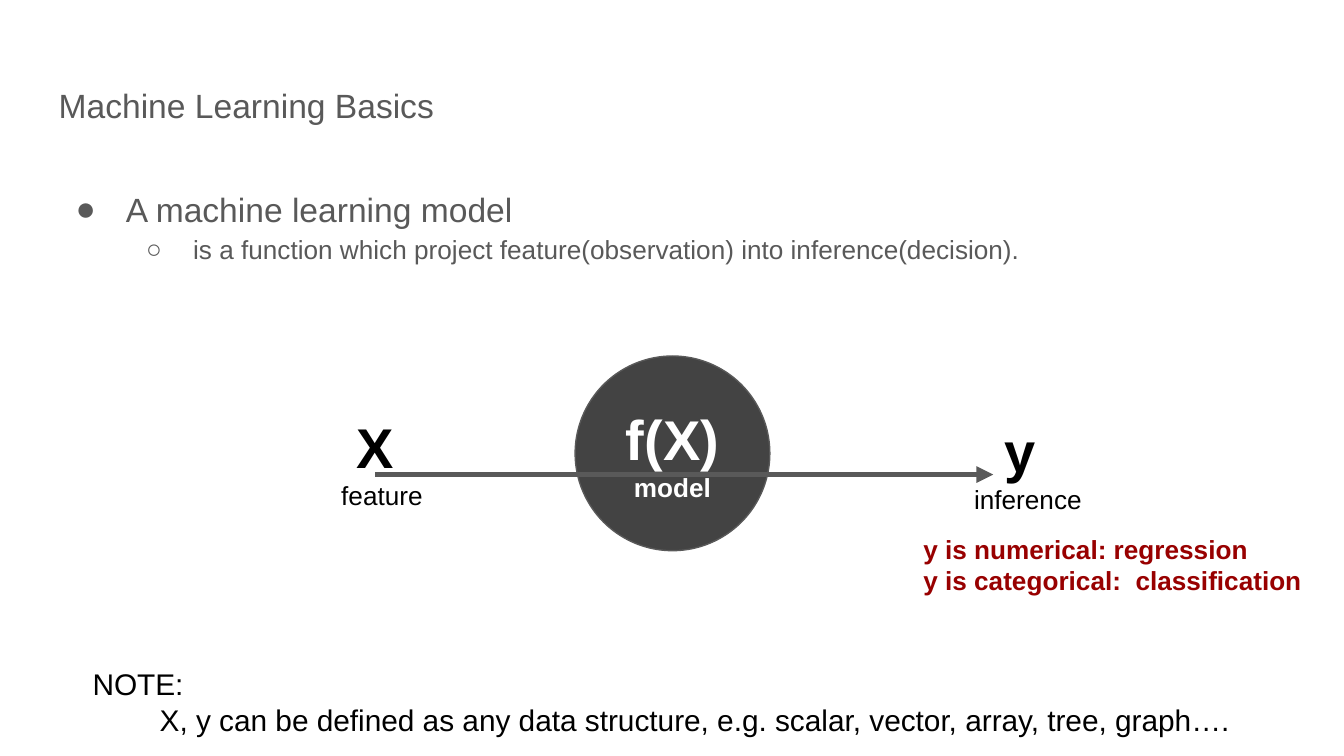
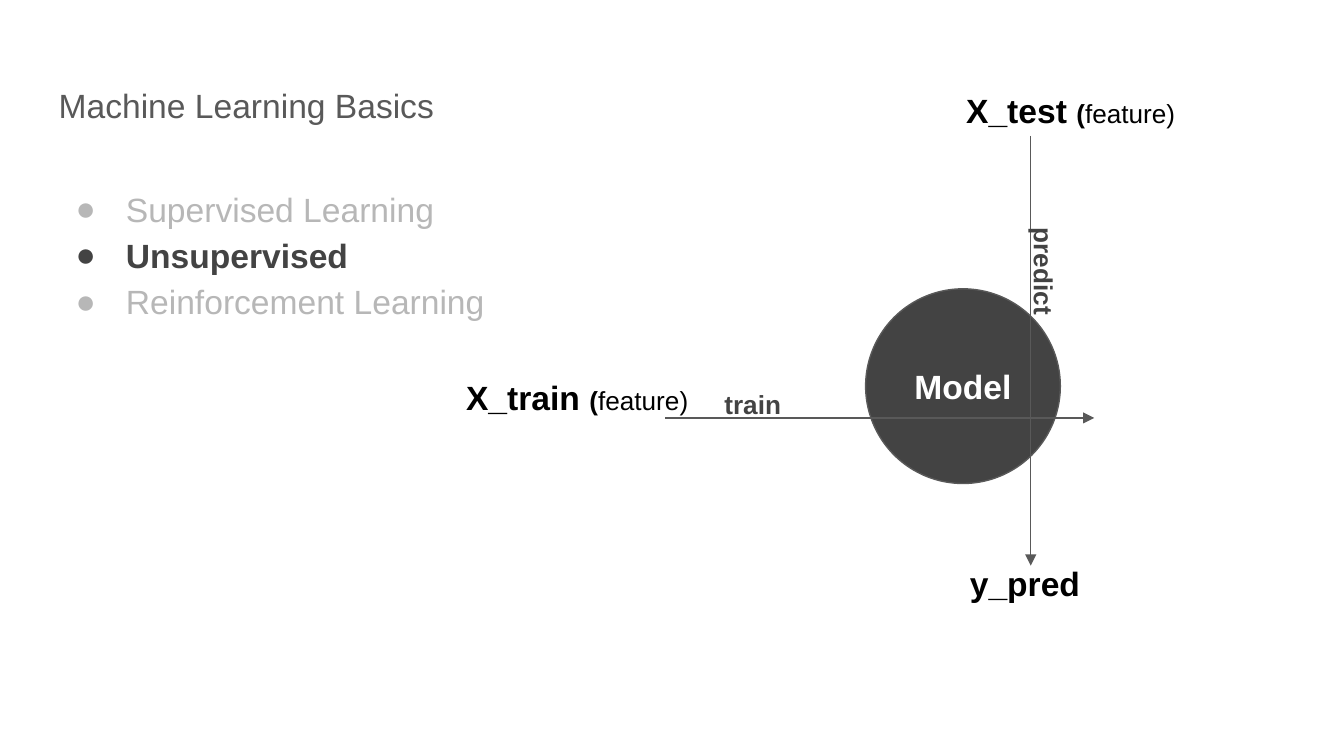
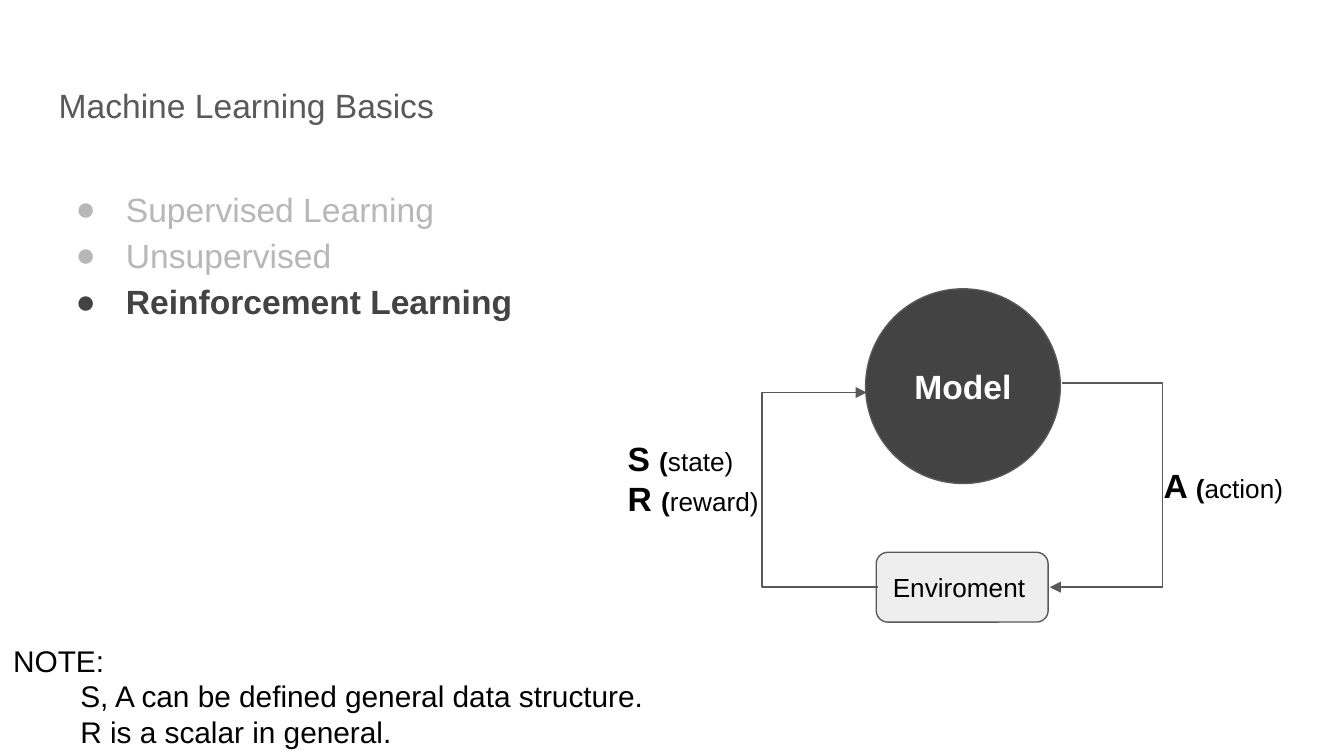
from lxml.etree import SubElement
from pptx import Presentation
from pptx.dml.color import RGBColor
from pptx.enum.shapes import MSO_CONNECTOR, MSO_SHAPE
from pptx.enum.text import MSO_ANCHOR, MSO_AUTO_SIZE, PP_ALIGN
from pptx.oxml.ns import qn
from pptx.util import Cm, Pt

COLORS = {"paper": "FFFFFF", "ink": "000000", "text": "595959", "dark": "434343",
          "muted": "B7B7B7", "panel": "EEEEEE", "accent": "980000"}
FONT = "Arial"
TITLE = "Machine Learning Basics"
TOPICS = ["Supervised Learning", "Unsupervised", "Reinforcement Learning"]
TITLE_BOX = (0.86, 1.24, 23.67, 1.6)
BODY_BOX = (0.86, 3.2, 23.67, 9.5)
MARGIN = 0.25
DIAMETER = 3.68
BULLETS = [("●", 1.27, -0.95), ("○", 2.54, -0.89)]


def rgb(name):
    return RGBColor.from_string(COLORS[name])


# ---- text ----
def run(text, size=14, color="ink", bold=False):
    return text, {"name": FONT, "size": Pt(size), "bold": bold}, color


def para(*runs, indent=0, left=0, bullet=None, level=0, **fmt):
    return {"runs": runs, "indent": indent, "left": left, "bullet": bullet,
            "fmt": {"level": level, "alignment": PP_ALIGN.LEFT, **fmt}}


def bullet_para(text, level=0, size=18, color="text", bold=False):
    char, left, indent = BULLETS[level]
    return para(run(text, size, color, bold), level=level, left=left, indent=indent,
                bullet=(char, color), line_spacing=1.15, space_before=Pt(0))


def fill_text(sp, paras, anchor=MSO_ANCHOR.TOP):
    tf = sp.text_frame
    frame = {"word_wrap": True, "auto_size": MSO_AUTO_SIZE.NONE, "vertical_anchor": anchor}
    frame.update({f"margin_{side}": Cm(MARGIN) for side in ("left", "top", "right", "bottom")})
    for key, value in frame.items():
        setattr(tf, key, value)
    for i, item in enumerate(paras):
        p = tf.add_paragraph() if i else tf.paragraphs[0]
        for key, value in item["fmt"].items():
            setattr(p, key, value)
        pPr = p._p.get_or_add_pPr()
        pPr.set("marL", str(Cm(item["left"])))
        pPr.set("indent", str(Cm(item["indent"])))
        if item["bullet"]:
            char, color = item["bullet"]
            clr = SubElement(pPr, qn("a:buClr"))
            SubElement(clr, qn("a:srgbClr"), val=COLORS[color])
            SubElement(pPr, qn("a:buFont"), typeface=FONT)
            SubElement(pPr, qn("a:buChar"), char=char)
        for text, font, color in item["runs"]:
            r = p.add_run()
            r.text = text
            for key, value in font.items():
                setattr(r.font, key, value)
            r.font.color.rgb = rgb(color)


def add_label(s, x, y, w, h, *paras, rotation=0):
    sp = s.shapes.add_textbox(Cm(x), Cm(y), Cm(w), Cm(h))
    sp.rotation = rotation
    fill_text(sp, paras)


def variable(name, meaning):
    return para(run(f"{name} ", 18, bold=True), run("(", bold=True), run(f"{meaning})"))


def add_note(s, box, *lines):
    add_label(s, *box, para(run("NOTE:", 16)),
              *[para(run(line, 16), indent=1.27) for line in lines])


# ---- shapes and arrows ----
def style_line(sp, width=0.75, arrow=False):
    sp.line.color.rgb = rgb("text")
    sp.line.width = Pt(width)
    if arrow:
        SubElement(sp.line._get_or_add_ln(), qn("a:tailEnd"), type="triangle")


def add_node(s, kind, box, fill, *paras):
    sp = s.shapes.add_shape(kind, *[Cm(v) for v in box])
    sp.shadow.inherit = False
    sp.fill.solid()
    sp.fill.fore_color.rgb = rgb(fill)
    style_line(sp)
    fill_text(sp, paras, MSO_ANCHOR.MIDDLE)


def add_model(s, x, y, *lines):
    paras = [para(run(text, size, "paper", True), alignment=PP_ALIGN.CENTER)
             for text, size in lines]
    add_node(s, MSO_SHAPE.OVAL, (x, y, DIAMETER, DIAMETER), "dark", *paras)


def add_arrow(s, x1, y1, x2, y2, width=0.75):
    sp = s.shapes.add_connector(MSO_CONNECTOR.STRAIGHT, Cm(x1), Cm(y1), Cm(x2), Cm(y2))
    style_line(sp, width, arrow=True)
    SubElement(sp._element.spPr, qn("a:effectLst"))


def add_elbow(s, x, y, points):
    start, *rest = [(Cm(x + dx), Cm(y + dy)) for dx, dy in points]
    builder = s.shapes.build_freeform(*start)
    builder.add_line_segments(rest, close=False)
    sp = builder.convert_to_shape()
    sp.shadow.inherit = False
    sp.fill.background()
    style_line(sp, arrow=True)


# ---- slide frame ----
def add_slide(prs, bullets):
    s = prs.slides.add_slide(prs.slide_layouts[1])
    title = para(run(TITLE, 18, "text"), line_spacing=1.15, space_after=Pt(16))
    frames = [(TITLE_BOX, [title]), (BODY_BOX, bullets)]
    for sp, (box, paras) in zip(s.placeholders, frames):
        sp.left, sp.top, sp.width, sp.height = [Cm(v) for v in box]
        fill_text(sp, paras)
    return s


def topic_list(current):
    return [bullet_para(t, color="dark" if t == current else "muted", bold=t == current)
            for t in TOPICS]


# ---- diagrams, each placed from its top left corner ----
def draw_function(s, x, y):
    add_model(s, x + 4.67, y, ("f(X)", 30), ("model", 14))
    add_arrow(s, x + 0.89, y + 2.24, x + 12.57, y + 2.24, width=3)
    for dx, dy, w, symbol, meaning, indent in ((0, 0.81, 2.26, "X", "feature", 0.29),
                                               (11.96, 0.89, 2.9, "y", "inference", 0.58)):
        add_label(s, x + dx, y + dy, w, 2.31,
                  para(run(symbol, 30, bold=True), indent=indent), para(run(meaning)))
    kinds = ("y is numerical: regression", "y is categorical:  classification")
    add_label(s, x + 11, y + 3.1, 8.1, 1.6,
              *[para(run(kind, 14, "accent", True)) for kind in kinds])


def draw_unsupervised(s, x, y):
    add_model(s, x + 7.8, y + 4.01, ("Model", 18))
    add_arrow(s, x + 4.01, y + 6.45, x + 12.12, y + 6.45)
    add_arrow(s, x + 10.92, y + 1.12, x + 10.92, y + 9.24)
    for dx, dy, step, rotation in ((4.88, 5.64, "train", 0), (9.88, 3.63, "predict", 90)):
        add_label(s, x + dx, y + dy, 2.87, 0.81,
                  para(run(step, 14, "dark", True)), rotation=rotation)
    add_label(s, x, y + 5.43, 5.97, 1.17, variable("X_train", "feature"))
    add_label(s, x + 9.45, y, 6.63, 1.17, variable("X_test", "feature"))
    add_label(s, x + 9.52, y + 8.94, 2.79, 1.37, para(run("y_pred", 18, bold=True)))


def draw_reinforcement(s, x, y):
    add_model(s, x + 4.75, y, ("Model", 18))
    add_node(s, MSO_SHAPE.ROUNDED_RECTANGLE, (x + 4.95, y + 4.98, 3.25, 1.32), "panel",
             para(run("Enviroment")))
    add_elbow(s, x, y, [(8.46, 1.78), (10.36, 1.78), (10.36, 5.64), (8.23, 5.64)])
    add_elbow(s, x, y, [(4.98, 5.64), (2.79, 5.64), (2.79, 1.96), (4.77, 1.96)])
    add_label(s, x, y + 2.57, 3.4, 2.31, variable("S", "state"), variable("R", "reward"))
    add_label(s, x + 10.13, y + 3.07, 3.4, 2.31, variable("A", "action"))


def main():
    prs = Presentation()
    prs.slide_width, prs.slide_height = Cm(25.4), Cm(14.29)

    # What a model is
    s = add_slide(prs, [
        bullet_para("A machine learning model"),
        bullet_para("is a function which project feature(observation) into "
                    "inference(decision).", level=1, size=14)])
    draw_function(s, 6.2, 6.73)
    add_note(s, (1.5, 12.34, 24, 1.93), "X, y can be defined as any data structure, "
             "e.g. scalar, vector, array, tree, graph….")

    # Unsupervised learning
    s = add_slide(prs, topic_list("Unsupervised"))
    draw_unsupervised(s, 8.56, 1.45)

    # Reinforcement learning
    s = add_slide(prs, topic_list("Reinforcement Learning"))
    draw_reinforcement(s, 11.61, 5.46)
    add_note(s, (0, 11.89, 13.18, 2.18), "S, A can be defined general data structure.",
             "R is a scalar in general.")

    prs.save("out.pptx")


if __name__ == "__main__":
    main()
